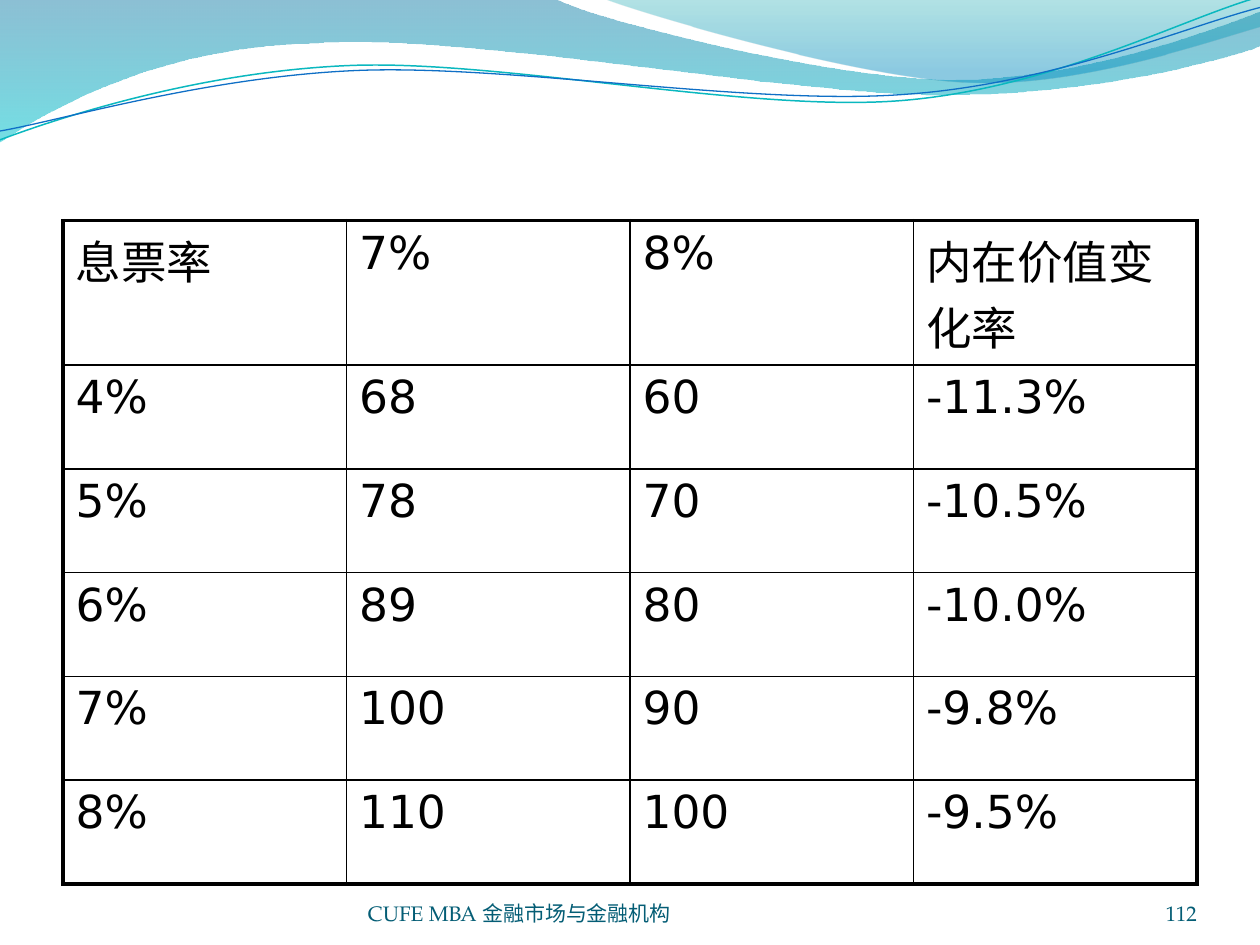
import math
from dataclasses import dataclass

import lxml.etree
import pptx
import pptx.dml.color
import pptx.enum.text
import pptx.oxml.ns
import pptx.util

Inches = pptx.util.Inches
Point = tuple[float, float]


@dataclass(frozen=True)
class Theme:
    table_font: str = "DejaVu Sans"
    footer_font: str = "TeX Gyre Pagella"
    table_size: float = 26
    footer_size: float = 12
    ink: str = "000000"
    footer: str = "045D75"
    inner_border: float = 1
    outer_border: float = 2.25


@dataclass(frozen=True)
class Stop:
    position: float
    color: str
    opacity: int


@dataclass(frozen=True)
class Wave:
    start: Point
    segments: tuple[tuple[Point, ...], ...]
    stops: tuple[Stop, ...] = ()
    line: str = ""
    width: float = 0
    rotation: float = 0
    center: Point = (0, 0)


@dataclass(frozen=True)
class Footer:
    text: str
    left: float
    width: float
    align: pptx.enum.text.PP_ALIGN


THEME = Theme()
WAVES = (
    Wave((0, 0), (
        ((4.4, -0.01),),
        ((4.76, 0.17), (6.64, 0.63), (7.58, 0.63)),
        ((8.53, 0.63), (9.58, 0.26), (10, 0.09)),
        ((10.01, 0.36),),
        ((9.83, 0.44), (8.7, 0.76), (7.46, 0.75)),
        ((6.22, 0.75), (3.82, 0.28), (2.57, 0.34)),
        ((1.29, 0.36), (0.46, 0.83), (-0.01, 1.13)),
        ((0, 0),),
    ), stops=(Stop(0, "0074A1", 45), Stop(1, "00C6CF", 55))),
    Wave((4.79, -0.01), (
        ((5.09, 0.11), (6.82, 0.62), (7.69, 0.65)),
        ((8.56, 0.69), (9.61, 0.32), (10, 0.21)),
        ((10, 0),),
        ((4.79, -0.01),),
    ), stops=(Stop(0, "00A1A9", 30), Stop(0.8, "008BBF", 45))),
    Wave((0, 1.11), (
        ((0.48, 0.93), (1.58, 0.57), (2.77, 0.52)),
        ((3.95, 0.47), (5.93, 0.89), (7.13, 0.8)),
        ((8.33, 0.71), (9.38, 0.15), (9.98, -0.02)),
    ), line="0AB8BF", width=0.85, rotation=-2.7, center=(4.99, 0.57)),
    Wave((0, 1.04), (
        ((0.47, 0.96), (1.64, 0.61), (2.83, 0.56)),
        ((4.03, 0.51), (5.97, 0.84), (7.17, 0.75)),
        ((8.36, 0.67), (9.41, 0.21), (10, 0.06)),
    ), line="0F6FC6", width=0.75, rotation=-2.7, center=(5, 0.59)),
)
ROWS = (
    ("息票率", "7%", "8%", "内在价值变化率"),
    ("4%", "68", "60", "-11.3%"),
    ("5%", "78", "70", "-10.5%"),
    ("6%", "89", "80", "-10.0%"),
    ("7%", "100", "90", "-9.8%"),
    ("8%", "110", "100", "-9.5%"),
)
TABLE_HEIGHT, HEADER_HEIGHT = 5.09, 0.97
FOOTERS = (
    Footer("CUFE MBA 金融市场与金融机构", 2.92, 3.67, pptx.enum.text.PP_ALIGN.LEFT),
    Footer("112", 8.67, 0.83, pptx.enum.text.PP_ALIGN.RIGHT),
)


def rgb(color: str) -> pptx.dml.color.RGBColor:
    return pptx.dml.color.RGBColor.from_string(color)


def child(parent, tag: str, **attributes: str):
    return lxml.etree.SubElement(parent, pptx.oxml.ns.qn(tag), attributes)


def format_text(para, font: str, size: float, color: str) -> None:
    for span in para.runs:
        span.font.name = font
        span.font.size = pptx.util.Pt(size)
        span.font.color.rgb = rgb(color)


def turn(point: Point, center: Point, degrees: float) -> Point:
    angle = math.radians(degrees)
    x, y = point[0] - center[0], point[1] - center[1]
    return (center[0] + x * math.cos(angle) - y * math.sin(angle),
            center[1] + x * math.sin(angle) + y * math.cos(angle))


def curve_segments(shape, wave: Wave) -> None:
    lines = iter(list(shape.element.spPr.iter(pptx.oxml.ns.qn("a:lnTo"))))
    for segment in wave.segments:
        first, *rest = [next(lines) for _ in segment]
        if rest:
            first.tag = pptx.oxml.ns.qn("a:cubicBezTo")
        for line in rest:
            first.append(line[0])
            line.getparent().remove(line)


def draw_wave(page, wave: Wave) -> None:
    points = [wave.start, *(point for segment in wave.segments for point in segment)]
    turned = [turn(point, wave.center, -wave.rotation) for point in points]
    first, *rest = [(Inches(x), Inches(y)) for x, y in turned]
    builder = page.shapes.build_freeform(*first)
    builder.add_line_segments(rest, close=bool(wave.stops))
    shape = builder.convert_to_shape()
    curve_segments(shape, wave)
    shape.shadow.inherit = False
    shape.rotation = wave.rotation
    if not wave.stops:
        shape.fill.background()
        shape.line.color.rgb = rgb(wave.line)
        shape.line.width = pptx.util.Pt(wave.width)
        return
    shape.line.fill.background()
    shape.fill.gradient()
    shape.fill.gradient_angle = 270
    for target, stop in zip(shape.fill.gradient_stops, wave.stops):
        target.position = stop.position
        target.color.rgb = rgb(stop.color)
    colors = shape.element.spPr.iter(pptx.oxml.ns.qn("a:srgbClr"))
    for color, stop in zip(colors, wave.stops):
        child(color, "a:alpha", val=str(stop.opacity * 1000))


def set_borders(cell, outer: dict[str, bool]) -> None:
    properties = cell._tc.get_or_add_tcPr()
    for index, (side, is_outer) in enumerate(outer.items()):
        width = THEME.outer_border if is_outer else THEME.inner_border
        border = child(properties, f"a:ln{side}", w=str(pptx.util.Pt(width)))
        child(child(border, "a:solidFill"), "a:srgbClr", val=THEME.ink)
        properties.insert(index, border)


def draw_table(page) -> None:
    last_row, last_column = len(ROWS) - 1, len(ROWS[0]) - 1
    body_height = (TABLE_HEIGHT - HEADER_HEIGHT) / last_row
    table = page.shapes.add_table(len(ROWS), len(ROWS[0]), Inches(0.5), Inches(1.75),
                                  Inches(9), Inches(TABLE_HEIGHT)).table
    table.first_row = table.horz_banding = False
    for r, values in enumerate(ROWS):
        table.rows[r].height = Inches(body_height if r else HEADER_HEIGHT)
        for c, value in enumerate(values):
            cell = table.cell(r, c)
            cell.text_frame.text = value
            format_text(cell.text_frame.paragraphs[0], THEME.table_font, THEME.table_size, THEME.ink)
            cell.fill.background()
            set_borders(cell, {"L": c == 0, "R": c == last_column, "T": r == 0, "B": r == last_row})


def draw_footer(page, footer: Footer) -> None:
    box = page.shapes.add_textbox(Inches(footer.left), Inches(6.95), Inches(footer.width), Inches(0.4))
    frame = box.text_frame
    frame.word_wrap = True
    frame.margin_left = frame.margin_right = frame.margin_top = frame.margin_bottom = 0
    frame.vertical_anchor = pptx.enum.text.MSO_ANCHOR.BOTTOM
    frame.text = footer.text
    frame.paragraphs[0].alignment = footer.align
    format_text(frame.paragraphs[0], THEME.footer_font, THEME.footer_size, THEME.footer)


def main() -> None:
    """Build the coupon rate slide and save it."""
    deck = pptx.Presentation()
    deck.slide_width, deck.slide_height = Inches(10), Inches(7.5)
    page = deck.slides.add_slide(deck.slide_layouts[6])
    for wave in WAVES:
        draw_wave(page, wave)
    draw_table(page)
    for footer in FOOTERS:
        draw_footer(page, footer)
    deck.save("out.pptx")


if __name__ == "__main__":
    main()
